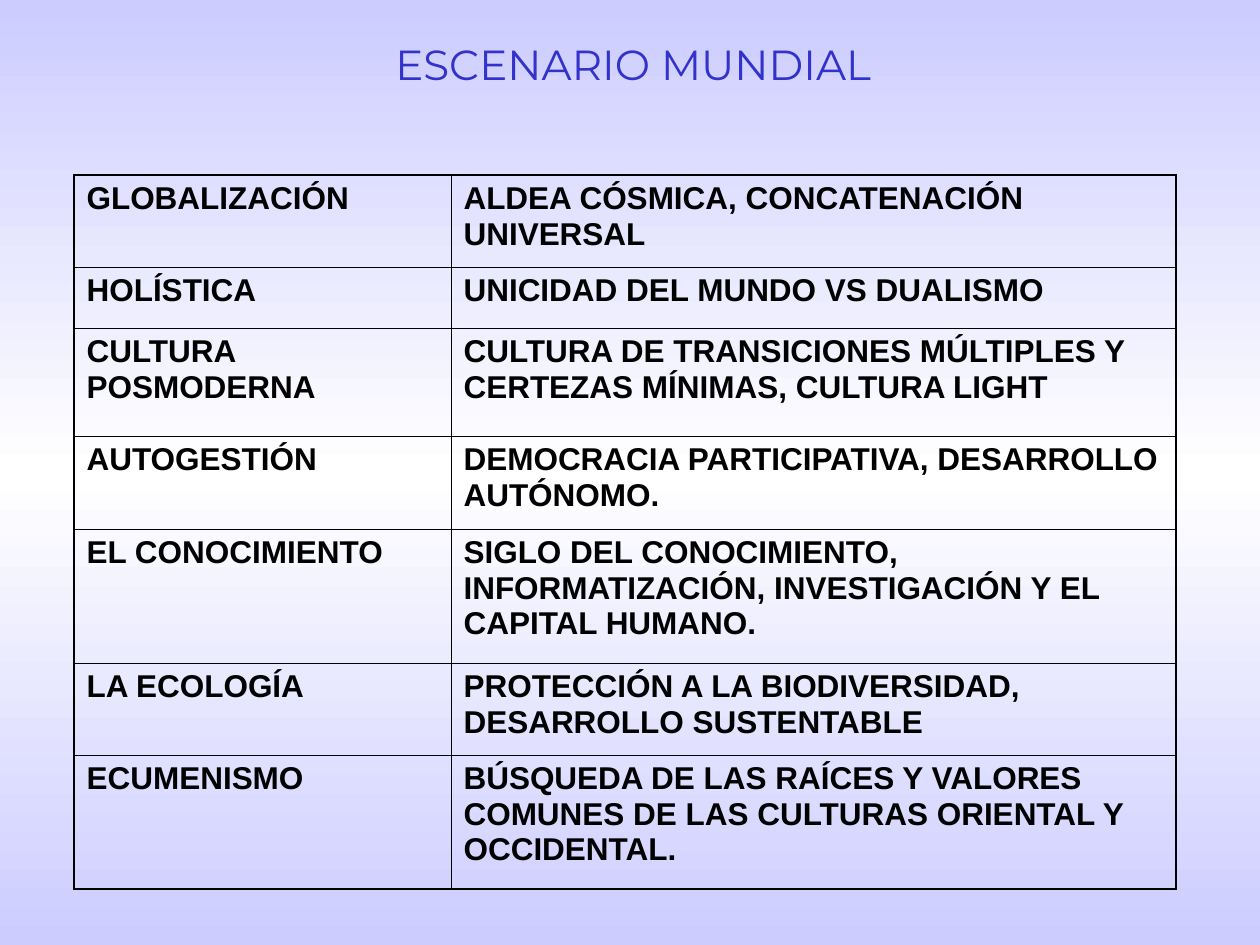
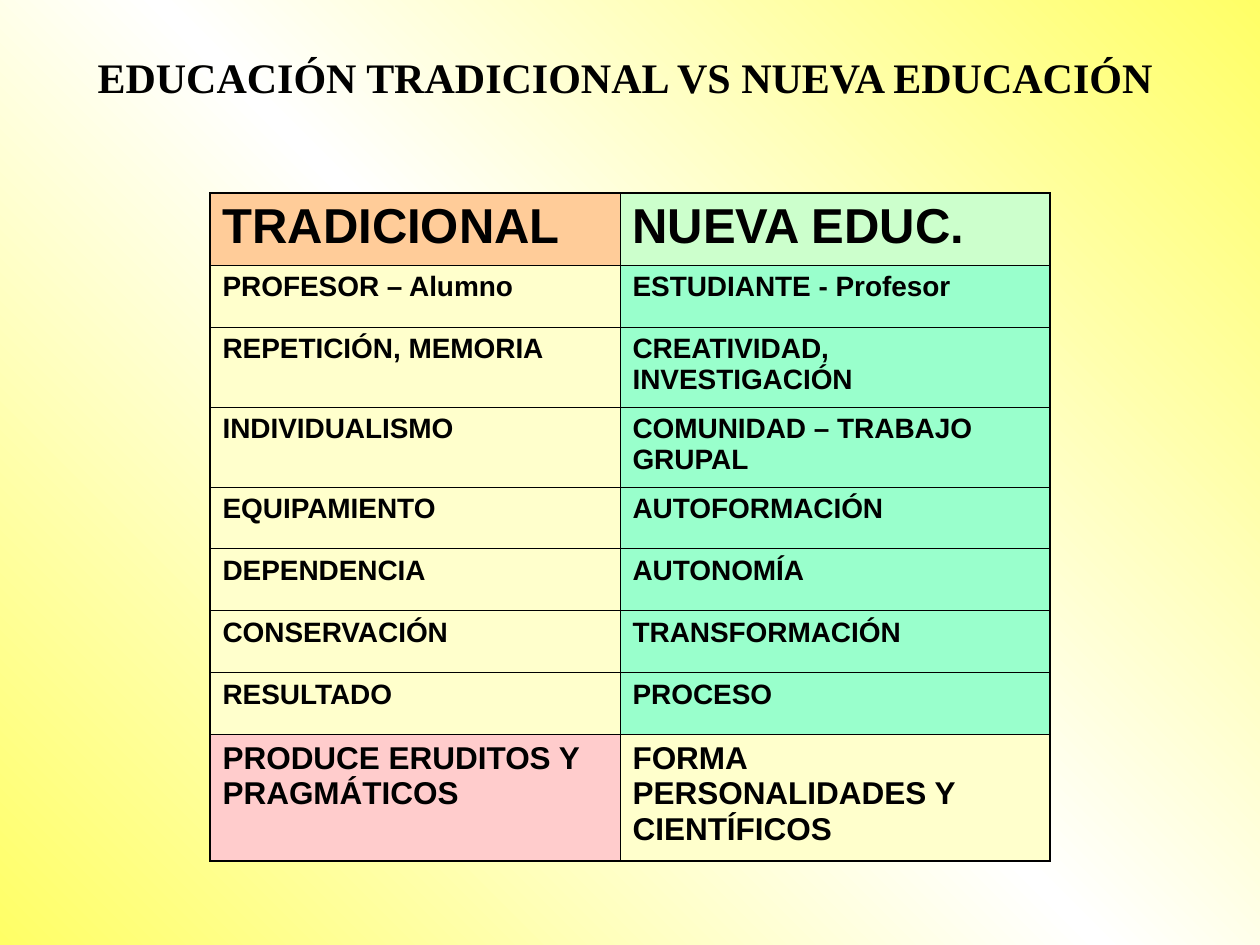
from copy import deepcopy
from dataclasses import dataclass

from pptx import Presentation
from pptx.dml.color import RGBColor
from pptx.enum.text import MSO_ANCHOR, MSO_AUTO_SIZE, PP_ALIGN
from pptx.oxml import parse_xml
from pptx.oxml.ns import nsdecls
from pptx.presentation import Presentation as Deck
from pptx.slide import Slide
from pptx.table import _Cell as Cell
from pptx.text.text import TextFrame
from pptx.util import Emu, Inches, Pt

# Shared scale, colours and line weights
PX_PER_INCH = 126
BLACK, WHITE = "000000", "FFFFFF"
BLUE, LAVENDER = "3333CC", "CCCCFF"
YELLOW, CREAM = "FFFF66", "FFFFCC"
PEACH, MINT, AQUA, PINK = "FFCC99", "CCFFCC", "99FFCC", "FFCCCC"
OUTER_LINE, INNER_LINE = 1.08, 0.45
TITLE_SIZE = 24


@dataclass(frozen=True)
class Title:
    text: str
    left: int
    top: int
    width: int
    height: int
    font: str
    color: str = BLACK
    bold: bool = False
    wrap: bool = True


@dataclass(frozen=True)
class Row:
    height: int
    left_text: str
    right_text: str
    size: int = 18
    space: float = 4.5
    fills: tuple[str | None, str | None] = (None, None)


@dataclass(frozen=True)
class Grid:
    left: int
    top: int
    columns: tuple[int, int]
    rows: list[Row]


@dataclass(frozen=True)
class Page:
    edge_color: str
    angle: int
    title: Title
    grid: Grid


def px(length: int) -> Emu:
    return Emu(round(length * Inches(1) / PX_PER_INCH))


def rgb(color: str) -> RGBColor:
    return RGBColor.from_string(color)


def put_text(frame: TextFrame, text: str, *, font: str = "Arial", size: int = 18,
             color: str = BLACK, bold: bool = True, space: float = 0,
             align: PP_ALIGN = PP_ALIGN.LEFT) -> None:
    para = frame.paragraphs[0]
    para.alignment = align
    para.space_before = Pt(space)
    span = para.add_run()
    span.text = text
    span.font.name = font
    span.font.size = Pt(size)
    span.font.bold = bold
    span.font.color.rgb = rgb(color)


def paint_background(slide: Slide, edge_color: str, angle: int) -> None:
    """Fade from the edge colour to white and back."""
    fill = slide.background.fill
    fill.gradient()
    fill.gradient_angle = 360 - angle
    stop_list = slide.element.xpath(".//a:gsLst")[0]
    stop_list.append(deepcopy(stop_list[-1]))
    for stop, position, color in zip(fill.gradient_stops, (0, 0.5, 1),
                                     (edge_color, WHITE, edge_color)):
        stop.position = position
        stop.color.rgb = rgb(color)


def draw_title(slide: Slide, title: Title) -> None:
    box = slide.shapes.add_textbox(px(title.left), px(title.top),
                                   px(title.width), px(title.height))
    frame = box.text_frame
    frame.word_wrap = title.wrap
    frame.auto_size = MSO_AUTO_SIZE.NONE
    frame.vertical_anchor = MSO_ANCHOR.TOP
    put_text(frame, title.text, font=title.font, size=TITLE_SIZE, color=title.color,
             bold=title.bold, align=PP_ALIGN.CENTER)


def set_borders(cell: Cell, outer_sides: dict[str, bool]) -> None:
    properties = cell._tc.get_or_add_tcPr()
    for side, is_outer in outer_sides.items():
        width = Pt(OUTER_LINE if is_outer else INNER_LINE)
        properties.append(parse_xml(
            f'<a:ln{side} {nsdecls("a")} w="{width}"><a:solidFill>'
            f'<a:srgbClr val="{BLACK}"/></a:solidFill></a:ln{side}>'))


def draw_grid(slide: Slide, grid: Grid) -> None:
    row_count, column_count = len(grid.rows), len(grid.columns)
    table = slide.shapes.add_table(
        row_count, column_count, px(grid.left), px(grid.top),
        px(sum(grid.columns)), px(sum(row.height for row in grid.rows))).table
    table.first_row = table.horz_banding = False
    for column, width in zip(table.columns, grid.columns):
        column.width = px(width)
    for row_index, row in enumerate(grid.rows):
        table.rows[row_index].height = px(row.height)
        for column_index, text in enumerate((row.left_text, row.right_text)):
            cell = table.cell(row_index, column_index)
            put_text(cell.text_frame, text, size=row.size, space=row.space)
            set_borders(cell, {"L": column_index == 0,
                               "R": column_index == column_count - 1,
                               "T": row_index == 0,
                               "B": row_index == row_count - 1})
            color = row.fills[column_index]
            if color is None:
                cell.fill.background()
            else:
                cell.fill.solid()
                cell.fill.fore_color.rgb = rgb(color)


def comparison(height: int, traditional: str, new: str) -> Row:
    return Row(height, traditional, new, size=16, space=4, fills=(CREAM, AQUA))


# Slide 1: world scenario
WORLD_SCENARIO = Page(
    LAVENDER, 90,
    Title("ESCENARIO MUNDIAL", 252, 32, 762, 89, "Montserrat", color=BLUE, wrap=False),
    Grid(74, 175, (377, 725), [
        Row(92, "GLOBALIZACIÓN", "ALDEA CÓSMICA, CONCATENACIÓN UNIVERSAL"),
        Row(61, "HOLÍSTICA", "UNICIDAD DEL MUNDO VS DUALISMO"),
        Row(108, "CULTURA POSMODERNA",
            "CULTURA DE TRANSICIONES MÚLTIPLES Y CERTEZAS MÍNIMAS, CULTURA LIGHT"),
        Row(93, "AUTOGESTIÓN", "DEMOCRACIA PARTICIPATIVA, DESARROLLO AUTÓNOMO."),
        Row(134, "EL CONOCIMIENTO",
            "SIGLO DEL CONOCIMIENTO, INFORMATIZACIÓN, INVESTIGACIÓN Y EL CAPITAL HUMANO."),
        Row(92, "LA ECOLOGÍA", "PROTECCIÓN A LA BIODIVERSIDAD, DESARROLLO SUSTENTABLE"),
        Row(134, "ECUMENISMO",
            "BÚSQUEDA DE LAS RAÍCES Y VALORES COMUNES DE LAS CULTURAS ORIENTAL Y OCCIDENTAL."),
    ]))

# Slide 2: traditional and new education
EDUCATION = Page(
    YELLOW, 135,
    Title("EDUCACIÓN TRADICIONAL VS NUEVA EDUCACIÓN", 54, 45, 1142, 63,
          "Times New Roman", bold=True),
    Grid(210, 193, (410, 430), [
        Row(72, "TRADICIONAL", "NUEVA EDUC.", size=28, space=7, fills=(PEACH, MINT)),
        comparison(62, "PROFESOR – Alumno", "ESTUDIANTE - Profesor"),
        comparison(80, "REPETICIÓN, MEMORIA", "CREATIVIDAD, INVESTIGACIÓN"),
        comparison(80, "INDIVIDUALISMO", "COMUNIDAD – TRABAJO GRUPAL"),
        comparison(62, "EQUIPAMIENTO", "AUTOFORMACIÓN"),
        comparison(62, "DEPENDENCIA", "AUTONOMÍA"),
        comparison(62, "CONSERVACIÓN", "TRANSFORMACIÓN"),
        comparison(62, "RESULTADO", "PROCESO"),
        Row(126, "PRODUCE ERUDITOS Y PRAGMÁTICOS", "FORMA PERSONALIDADES Y CIENTÍFICOS",
            fills=(PINK, CREAM)),
    ]))


def add_page(deck: Deck, page: Page) -> None:
    slide = deck.slides.add_slide(deck.slide_layouts[6])
    paint_background(slide, page.edge_color, page.angle)
    draw_title(slide, page.title)
    draw_grid(slide, page.grid)


def main() -> None:
    deck = Presentation()
    deck.slide_width, deck.slide_height = px(1260), px(945)
    for page in (WORLD_SCENARIO, EDUCATION):
        add_page(deck, page)
    deck.save("out.pptx")


if __name__ == "__main__":
    main()
